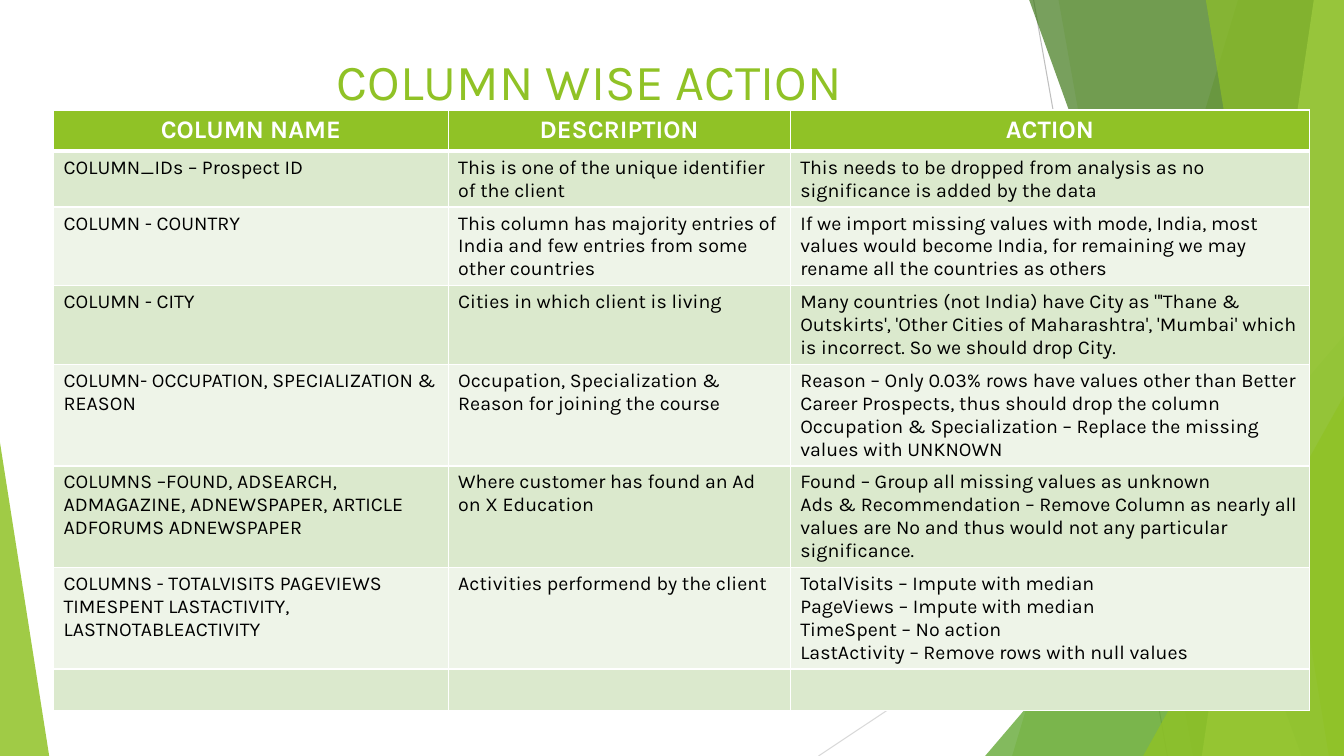
import pptx
import pptx.dml.color
import pptx.enum.shapes
import pptx.enum.text
import pptx.oxml
import pptx.oxml.ns
import pptx.util
from dataclasses import dataclass

Cm = pptx.util.Cm
Pt = pptx.util.Pt
qn = pptx.oxml.ns.qn
Align = pptx.enum.text.PP_ALIGN
Kind = pptx.enum.shapes.MSO_SHAPE
WIDE, HIGH = 33.86, 19.05


@dataclass(frozen=True)
class Theme:
    font: str = "Karla"
    lime: str = "90C226"
    leaf: str = "54A021"
    dark: str = "3F7819"
    pale: str = "C0E474"
    white: str = "FFFFFF"
    black: str = "000000"
    bands: tuple = ("DBE9CD", "EEF4E8")
    grays: tuple = ("BFBFBF", "D9D9D9")
    title: int = 36
    head: int = 18
    body: int = 14


THEME = Theme()
HEADS = ["COLUMN NAME", "DESCRIPTION", "ACTION"]
WIDTHS = [9.94, 8.62, 13.08]
ROWS = [
    (2, "COLUMN_IDs – Prospect ID",
     "This is one of the unique identifier of the client",
     "This needs to be dropped from analysis as no significance is added by the data"),
    (3, "COLUMN - COUNTRY",
     "This column has majority entries of India and few entries from some other countries",
     "If we import missing values with mode, India, most values would become India, "
     "for remaining we may rename all the countries as others"),
    (3, "COLUMN - CITY",
     "Cities in which client is living",
     "Many countries (not India) have City as \"'Thane & Outskirts', "
     "'Other Cities of Maharashtra', 'Mumbai' which is incorrect. So we should drop City."),
    (4, "COLUMN- OCCUPATION, SPECIALIZATION & REASON",
     "Occupation, Specialization & Reason for joining the course",
     "Reason – Only 0.03% rows have values other than Better Career Prospects, "
     "thus should drop the column\n"
     "Occupation & Specialization – Replace the missing values with UNKNOWN"),
    (4, "COLUMNS –FOUND, ADSEARCH, ADMAGAZINE, ADNEWSPAPER, ARTICLE ADFORUMS ADNEWSPAPER",
     "Where customer has found an Ad on X Education",
     "Found – Group all missing values as unknown\n"
     "Ads & Recommendation – Remove Column as nearly all values are No "
     "and thus would not any particular significance."),
    (4, "COLUMNS - TOTALVISITS PAGEVIEWS TIMESPENT LASTACTIVITY, LASTNOTABLEACTIVITY",
     "Activities performend by the client",
     "TotalVisits – Impute with median\nPageViews – Impute with median\n"
     "TimeSpent – No action\nLastActivity – Remove rows with null values"),
]


def rgb(hue):
    return pptx.dml.color.RGBColor.from_string(hue)


def put(item, vals):
    for name, val in vals.items():
        setattr(item, name, val)


def write(frame, text, size, hue, bold=False, align=Align.LEFT):
    frame.text = text
    for para in frame.paragraphs:
        para.alignment = align
        for run in para.runs:
            put(run.font, {"name": THEME.font, "size": Pt(size), "bold": bold})
            run.font.color.rgb = rgb(hue)


def paint(shape, hue, alpha):
    shape.shadow.inherit = False
    shape.fill.solid()
    shape.fill.fore_color.rgb = rgb(hue)
    shape.line.fill.background()
    tone = next(shape.element.spPr.iter(qn("a:srgbClr")))
    tone.append(pptx.oxml.parse_xml(
        f'<a:alpha {pptx.oxml.ns.nsdecls("a")} val="{alpha * 1000}"/>'))


def strip(shapes, top, base, hue, alpha):
    pen = shapes.build_freeform(Cm(top), 0)
    pen.add_line_segments(
        [(Cm(x), Cm(y)) for x, y in ((WIDE, 0), (WIDE, HIGH), (base, HIGH))])
    paint(pen.convert_to_shape(), hue, alpha)


def wedge(shapes, left, width, top, peak, hue, alpha):
    shape = shapes.add_shape(
        Kind.ISOSCELES_TRIANGLE, Cm(left), Cm(top), Cm(width), Cm(HIGH - top))
    shape.adjustments[0] = peak
    paint(shape, hue, alpha)


def rule(shapes, ends, hue):
    line = shapes.add_connector(
        pptx.enum.shapes.MSO_CONNECTOR.STRAIGHT, *map(Cm, ends))
    line.line.color.rgb = rgb(hue)
    line.line.width = Pt(0.75)
    line.element.spPr.append(pptx.oxml.parse_xml(
        f'<a:effectLst {pptx.oxml.ns.nsdecls("a")}/>'))


def edge(cell, base):
    widths = {"lnL": 1, "lnR": 1, "lnT": 1, "lnB": base}
    for spot, (tag, width) in enumerate(widths.items()):
        cell.fill._xPr.insert(spot, pptx.oxml.parse_xml(
            f'<a:{tag} {pptx.oxml.ns.nsdecls("a")} w="{Pt(width)}"><a:solidFill>'
            f'<a:srgbClr val="{THEME.white}"/></a:solidFill></a:{tag}>'))


def fill(cell, text, hue, base, style):
    write(cell.text_frame, text, **style)
    cell.fill.solid()
    cell.fill.fore_color.rgb = rgb(hue)
    edge(cell, base)


def grid(shapes):
    body = [row[1:] for row in ROWS] + [[""] * len(HEADS)]
    highs = [1.04] + [0.58 * row[0] + 0.24 for row in ROWS] + [1.04]
    table = shapes.add_table(
        len(highs), len(HEADS), Cm(1.35), Cm(2.77),
        Cm(sum(WIDTHS)), Cm(sum(highs))).table
    for col, width in zip(table.columns, WIDTHS):
        col.width = Cm(width)
    for row, high in zip(table.rows, highs):
        row.height = Cm(high)
    head = {"size": THEME.head, "hue": THEME.white, "bold": True, "align": Align.CENTER}
    plain = {"size": THEME.body, "hue": THEME.black}
    for col, text in enumerate(HEADS):
        fill(table.cell(0, col), text, THEME.lime, 3, head)
    for num, row in enumerate(body):
        for col, text in enumerate(row):
            fill(table.cell(num + 1, col), text, THEME.bands[num % 2], 1, plain)


def decor(shapes):
    rule(shapes, (26.04, 0, 29.41, HIGH), THEME.grays[0])
    rule(shapes, (WIDE, 10.24, 20.62, HIGH), THEME.grays[1])
    strip(shapes, 31.19, 25.5, THEME.lime, 30)
    strip(shapes, 26.67, 30.05, THEME.lime, 20)
    wedge(shapes, 24.82, 9.04, 8.46, 1, THEME.leaf, 72)
    strip(shapes, 25.93, 32.79, THEME.dark, 70)
    strip(shapes, 33.1, 30.28, THEME.pale, 70)
    strip(shapes, 30.38, 33.48, THEME.lime, 65)
    wedge(shapes, 28.8, 5.06, 9.98, 1, THEME.lime, 80)
    wedge(shapes, 0, 1.24, 11.15, 0, THEME.lime, 85)


def head(title):
    put(title, {"left": Cm(0.25), "top": Cm(1.02),
                "width": Cm(29.21), "height": Cm(2.24)})
    put(title.text_frame, {
        "word_wrap": True, "margin_bottom": Cm(0.38),
        "vertical_anchor": pptx.enum.text.MSO_ANCHOR.MIDDLE})
    write(title.text_frame, "COLUMN WISE ACTION", THEME.title, THEME.lime,
          align=Align.CENTER)
    title.element.getparent().append(title.element)


def main():
    deck = pptx.Presentation()
    put(deck, {"slide_width": Cm(WIDE), "slide_height": Cm(HIGH)})
    slide = deck.slides.add_slide(deck.slide_layouts[5])
    decor(slide.shapes)
    head(slide.shapes.title)
    grid(slide.shapes)
    deck.save("out.pptx")


main()
